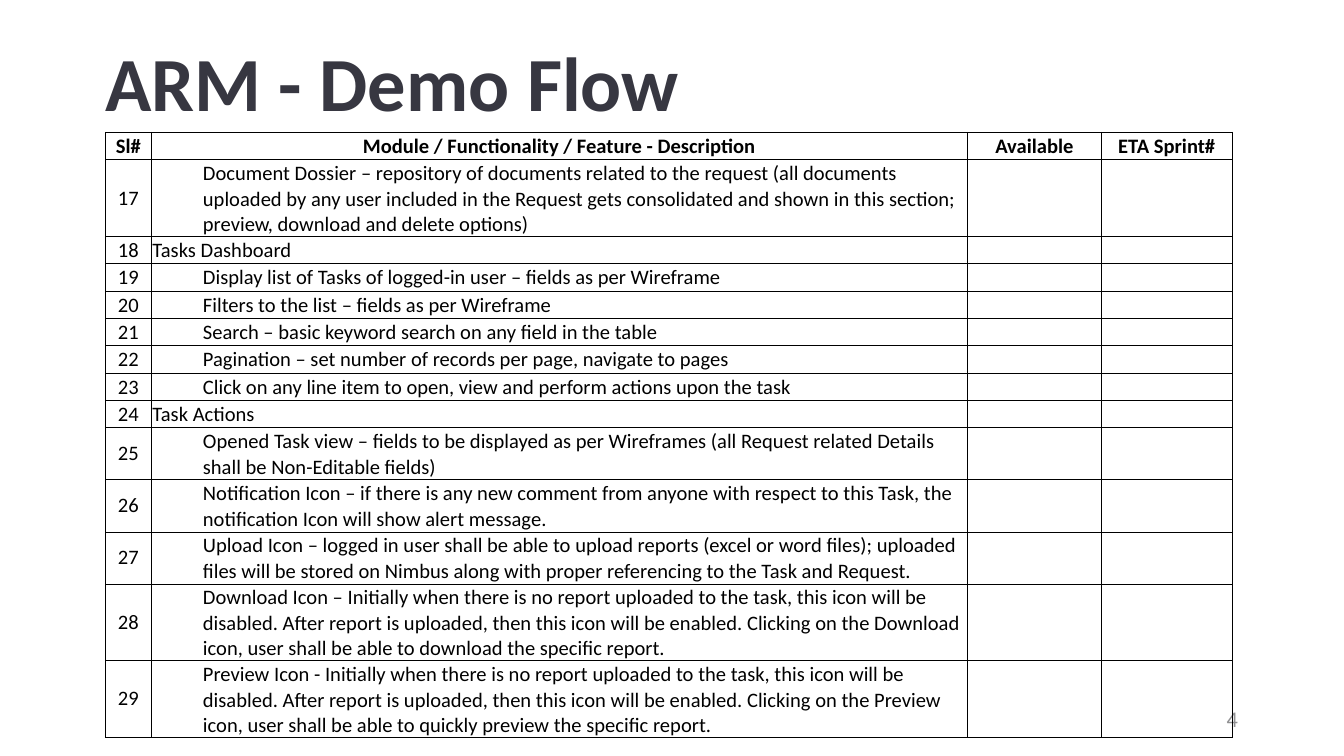
from lxml.etree import SubElement
from pptx import Presentation
from pptx.dml.color import RGBColor
from pptx.enum.text import MSO_ANCHOR, PP_ALIGN
from pptx.oxml.ns import qn
from pptx.util import Inches, Pt

COLORS = {"title": "373741", "page": "919193", "ink": "000000"}
HEADS = ["Sl#", "Module / Functionality / Feature - Description", "Available", "ETA Sprint#"]
FIRST = 17
SECTIONS = ["Tasks Dashboard", "Task Actions"]
ITEMS = [
    "Document Dossier – repository of documents related to the request (all documents uploaded by any user included in the Request gets consolidated and shown in this section; preview, download and delete options)",
    "Tasks Dashboard",
    "Display list of Tasks of logged-in user – fields as per Wireframe",
    "Filters to the list – fields as per Wireframe",
    "Search – basic keyword search on any field in the table",
    "Pagination – set number of records per page, navigate to pages",
    "Click on any line item to open, view and perform actions upon the task",
    "Task Actions",
    "Opened Task view – fields to be displayed as per Wireframes (all Request related Details shall be Non-Editable fields)",
    "Notification Icon – if there is any new comment from anyone with respect to this Task, the notification Icon will show alert message.",
    "Upload Icon – logged in user shall be able to upload reports (excel or word files); uploaded files will be stored on Nimbus along with proper referencing to the Task and Request.",
    "Download Icon – Initially when there is no report uploaded to the task, this icon will be disabled. After report is uploaded, then this icon will be enabled. Clicking on the Download icon, user shall be able to download the specific report.",
    "Preview Icon - Initially when there is no report uploaded to the task, this icon will be disabled. After report is uploaded, then this icon will be enabled. Clicking on the Preview icon, user shall be able to quickly preview the specific report.",
]


def write(tf, text, size=11, color="ink", bold=False, align=PP_ALIGN.LEFT,
          anchor=MSO_ANCHOR.MIDDLE, spacing=None, after=None):
    tf.word_wrap = True
    tf.vertical_anchor = anchor
    p = tf.paragraphs[0]
    p.alignment = align
    p.line_spacing = spacing
    p.space_after = after
    if not text:
        SubElement(p._p, qn("a:endParaRPr"), sz=str(size * 100))
        return p
    r = p.add_run()
    r.text = text
    r.font.name = "Calibri"
    r.font.size = Pt(size)
    r.font.bold = bold
    r.font.color.rgb = RGBColor.from_string(COLORS[color])
    return p


def rule_cell(cell):
    tcPr = cell._tc.get_or_add_tcPr()
    for side in ("lnL", "lnR", "lnT", "lnB"):
        ln = SubElement(tcPr, qn(f"a:{side}"), w=str(Pt(0.5)))
        fill = SubElement(ln, qn("a:solidFill"))
        SubElement(fill, qn("a:srgbClr"), val=COLORS["ink"])
    cell.fill.background()


prs = Presentation()
prs.slide_width = Inches(10)
prs.slide_height = prs.slide_width * 9 // 16
U = prs.slide_width // 100
s = prs.slides.add_slide(prs.slide_layouts[5])

title = s.shapes.title
title.left, title.top, title.width, title.height = [int(v * U) for v in (6.85, 2.35, 86.2, 7.7)]
write(title.text_frame, "ARM - Demo Flow", size=41, color="title", bold=True,
      anchor=MSO_ANCHOR.BOTTOM, spacing=0.9)

page = s.shapes.add_textbox(*[int(v * U) for v in (70.6, 52.1, 22.5, 3)])
write(page.text_frame, "4", size=12, color="page", align=PP_ALIGN.RIGHT,
      spacing=0.9, after=Pt(6))

rows = [HEADS] + [[str(n), item, "", ""] for n, item in enumerate(ITEMS, FIRST)]
widths = [3.4, 60.75, 9.95, 9.75]
frame = s.shapes.add_table(len(rows), len(widths), int(7.85 * U), int(9.85 * U),
                           int(sum(widths) * U), 2 * U * len(rows))
table = frame.table
table.first_row = table.horz_banding = False
for col, width in zip(table.columns, widths):
    col.width = int(width * U)

for i, row in enumerate(rows):
    for j, text in enumerate(row):
        cell = table.cell(i, j)
        cell.margin_left = cell.margin_right = Inches(0.01)
        cell.margin_top = cell.margin_bottom = Inches(0.01)
        cell.vertical_anchor = MSO_ANCHOR.MIDDLE
        rule_cell(cell)
        centred = i == 0 or j != 1
        p = write(cell.text_frame, text, bold=i == 0,
                  align=PP_ALIGN.CENTER if centred else PP_ALIGN.LEFT)
        if not centred and text not in SECTIONS:
            p.level = 1
            pPr = p._p.get_or_add_pPr()
            pPr.set("marL", str(int(3.75 * U)))
            pPr.set("indent", "0")

prs.save("out.pptx")
